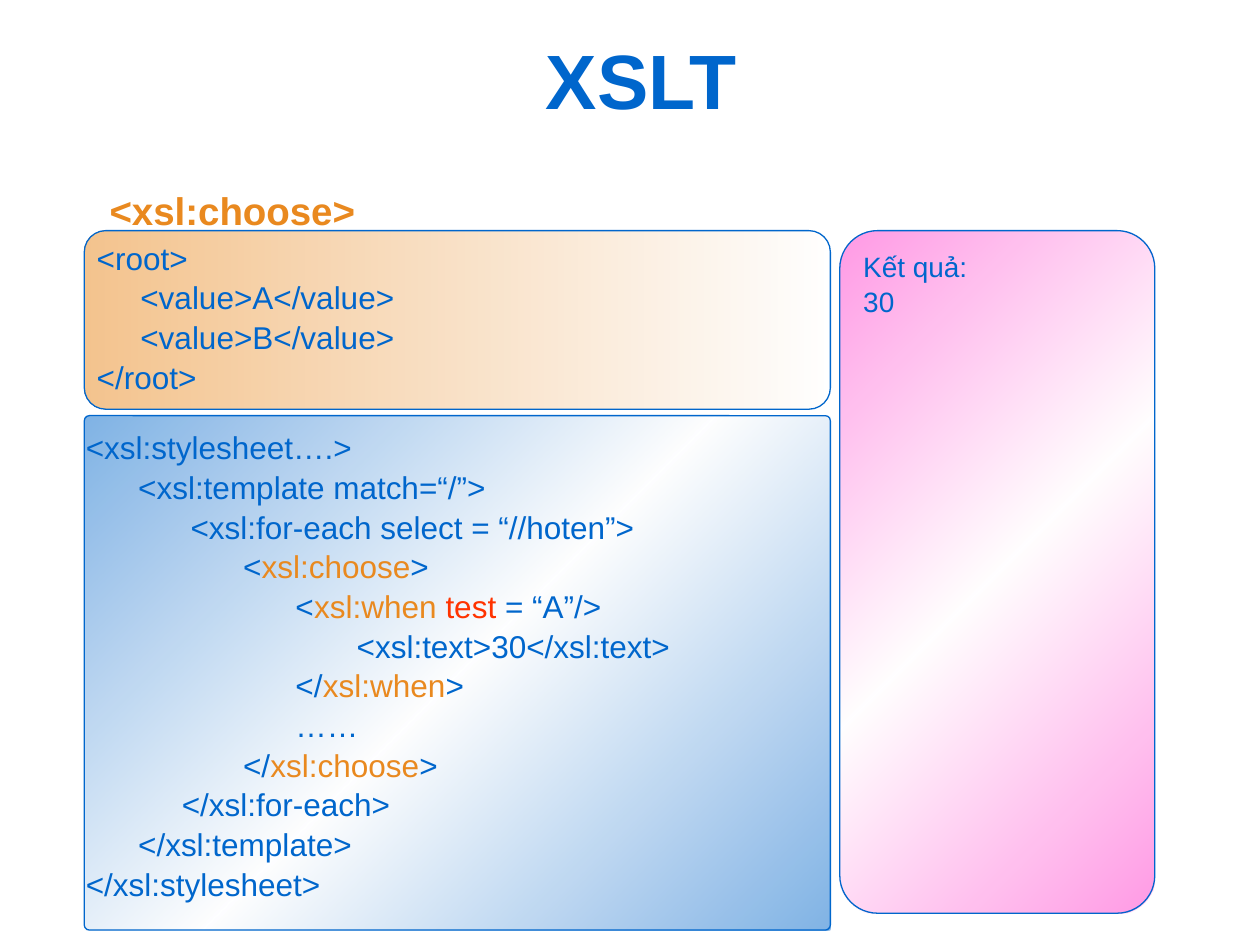
"""Build the XSLT slide that explains xsl:choose with source, stylesheet and result panels."""
import dataclasses

import lxml.etree
import pptx
import pptx.dml.color
import pptx.enum.shapes
import pptx.enum.text
import pptx.oxml.ns
import pptx.util

Cm = pptx.util.Cm
Pt = pptx.util.Pt
RGB = pptx.dml.color.RGBColor.from_string
qn = pptx.oxml.ns.qn


@dataclasses.dataclass(frozen=True)
class Theme:
    font: str = "Arial"
    blue: str = "0066CC"
    orange: str = "E9891F"
    red: str = "FF3300"
    pink: str = "FF33CC"
    white: str = "FFFFFF"
    title: int = 44
    heading: int = 22
    code: int = 18
    result: int = 16


theme = Theme()


def write(frame, lines, size, color=theme.blue, bold=False, spacing=1.05):
    """Write lines, each a list of (text, colour or None) runs."""
    frame.word_wrap = True
    for number, line in enumerate(lines):
        paragraph = frame.paragraphs[0] if number == 0 else frame.add_paragraph()
        paragraph.line_spacing = spacing
        paragraph.alignment = pptx.enum.text.PP_ALIGN.LEFT
        paragraph.font.name = theme.font
        paragraph.font.size = Pt(size)
        paragraph.font.bold = bold
        paragraph.font.color.rgb = RGB(color)
        for text, accent in line:
            run = paragraph.add_run()
            run.text = text
            run.font.color.rgb = RGB(accent or color)


def add_panel(box, corner, stops, angle):
    """Add a rounded panel with a half-transparent gradient."""
    panel = slide.shapes.add_shape(
        pptx.enum.shapes.MSO_SHAPE.ROUNDED_RECTANGLE, *map(Cm, box))
    panel.adjustments[0] = corner
    panel.shadow.inherit = False
    panel.line.color.rgb = RGB(theme.blue)
    panel.line.width = Pt(0.75)
    panel.fill.gradient()
    panel.fill.gradient_angle = angle
    stop_list = next(panel.fill._xPr.iter(qn("a:gsLst")))
    for old_stop in list(stop_list):
        stop_list.remove(old_stop)
    for number, color in enumerate(stops):
        position = 100000 * number // (len(stops) - 1)
        stop = lxml.etree.SubElement(stop_list, qn("a:gs"), pos=str(position))
        tint = lxml.etree.SubElement(stop, qn("a:srgbClr"), val=color)
        lxml.etree.SubElement(tint, qn("a:alpha"), val="50000")
    return panel


presentation = pptx.Presentation()
presentation.slide_width = Cm(25.4)
presentation.slide_height = Cm(19.05)
slide = presentation.slides.add_slide(presentation.slide_layouts[6])

title = slide.shapes.add_textbox(Cm(1.5), Cm(0), Cm(22.86), Cm(3.18)).text_frame
title.vertical_anchor = pptx.enum.text.MSO_ANCHOR.MIDDLE
write(title, [[("XSLT", None)]], theme.title, bold=True, spacing=1)
title.paragraphs[0].alignment = pptx.enum.text.PP_ALIGN.CENTER

left, top, width = 1.7, 4.65, 15.04
add_panel((left, top, width, 3.6), 0.12, [theme.white, theme.orange], 180)

heading = slide.shapes.add_textbox(Cm(1.96), Cm(3.6), Cm(16.46), Cm(1.19)).text_frame
write(heading, [[("<xsl:choose>", None)]], theme.heading, theme.orange, bold=True)

source_lines = [
    "<root>",
    "     <value>A</value>",
    "     <value>B</value>",
    "</root>",
]
source = slide.shapes.add_textbox(Cm(left), Cm(top), Cm(14.4), Cm(3.3)).text_frame
write(source, [[(line, None)] for line in source_lines], theme.code)

add_panel((left, 8.38, width, 10.37), 0.01,
          [theme.blue, theme.white, theme.blue], 135)

stylesheet_lines = [
    [("<xsl:stylesheet….>", None)],
    [("      <xsl:template match=“/”>", None)],
    [("            <xsl:for-each select = “//hoten”>", None)],
    [("                  <", None), ("xsl:choose", theme.orange), (">", None)],
    [("                        <", None), ("xsl:when ", theme.orange),
     ("test", theme.red), (" = “A”/>", None)],
    [("                               <xsl:text>30</xsl:text>", None)],
    [("                        </", None), ("xsl:when", theme.orange), (">", None)],
    [("                        ……", None)],
    [("                  </", None), ("xsl:choose", theme.orange), (">", None)],
    [("           </xsl:for-each>", None)],
    [("      </xsl:template>", None)],
    [("</xsl:stylesheet>", None)],
]
stylesheet = slide.shapes.add_textbox(Cm(1.48), Cm(8.47), Cm(14.82), Cm(9.4)).text_frame
write(stylesheet, stylesheet_lines, theme.code)

result = add_panel((16.93, top, 6.35, 13.76), 0.12,
                   [theme.pink, theme.white, theme.pink], 135).text_frame
result.vertical_anchor = pptx.enum.text.MSO_ANCHOR.TOP
write(result, [[("Kết quả:", None)], [("30", None)]], theme.result)

presentation.save("out.pptx")
